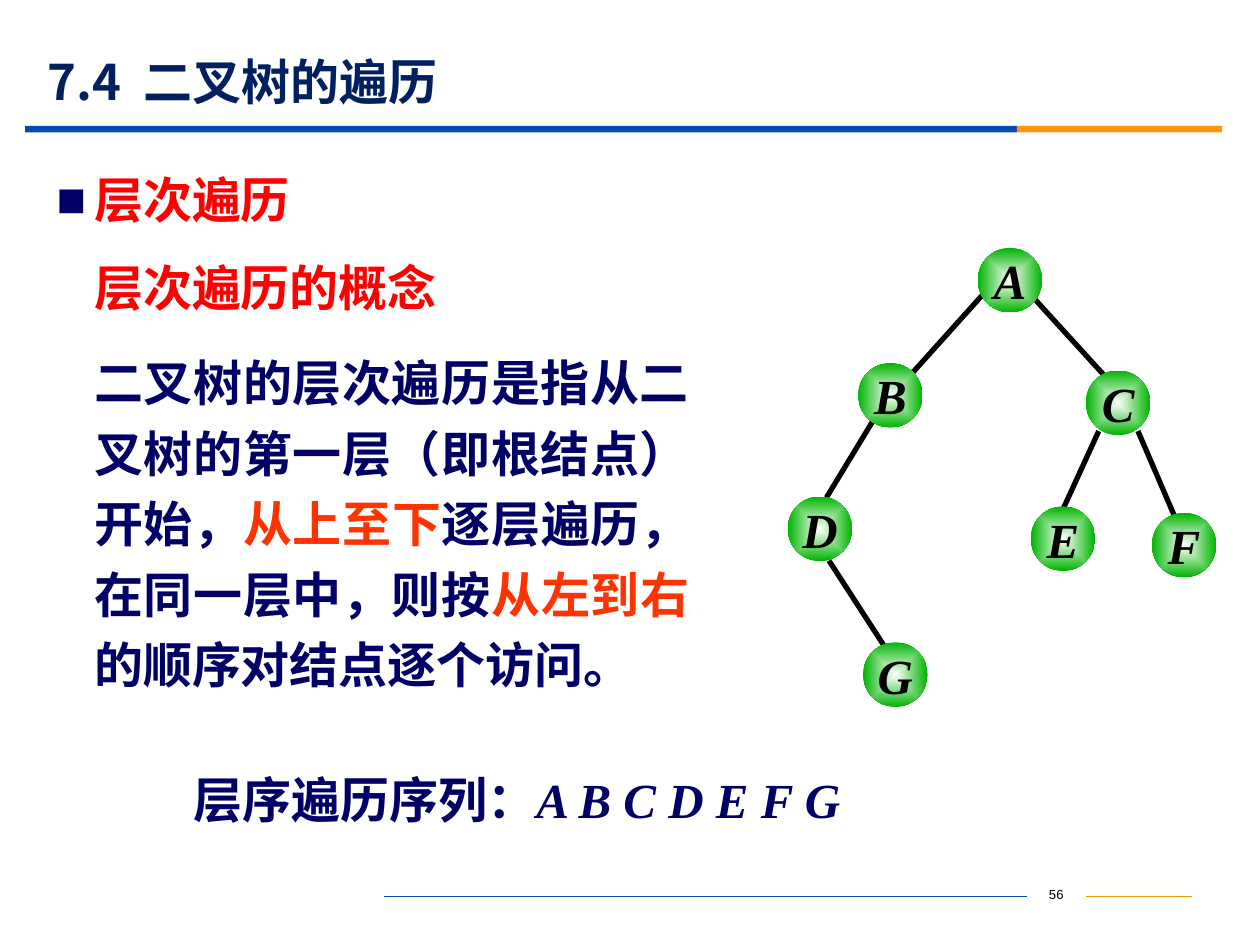
from lxml import etree
from pptx import Presentation
from pptx.dml.color import RGBColor
from pptx.enum.shapes import MSO_CONNECTOR, MSO_SHAPE
from pptx.enum.text import MSO_ANCHOR, PP_ALIGN
from pptx.oxml.ns import qn
from pptx.util import Cm, Pt

STRAIGHT = MSO_CONNECTOR.STRAIGHT
RECTANGLE, OVAL = MSO_SHAPE.RECTANGLE, MSO_SHAPE.OVAL
MIDDLE, TOP = MSO_ANCHOR.MIDDLE, MSO_ANCHOR.TOP
LEFT, CENTER, JUSTIFY = PP_ALIGN.LEFT, PP_ALIGN.CENTER, PP_ALIGN.JUSTIFY
SERIF, CJK, SANS = "Times New Roman", "Noto Sans CJK SC", "Arial"
COLORS = {
    "blue": "064BB2", "orange": "FB9708", "footer orange": "F19500",
    "title": "002060", "navy": "000066", "red": "FF0000",
    "highlight": "FF3300", "black": "000000", "white": "FFFFFF",
    "green": "00B400",
}
COLORS = {name: RGBColor.from_string(value) for name, value in COLORS.items()}


def add_run(paragraph, text, color, size=28, font=SERIF, bold=True, italic=False):
    run = paragraph.add_run()
    run.text = text
    run.font.size = Pt(size)
    run.font.bold = bold
    run.font.italic = italic
    run.font.name = font
    run.font.color.rgb = COLORS[color]
    etree.SubElement(run.font._element, qn("a:ea"), typeface=CJK)


def add_text(left, top, width, height, align=LEFT, anchor=TOP):
    box = slide.shapes.add_textbox(Cm(left), Cm(top), Cm(width), Cm(height))
    frame = box.text_frame
    frame.word_wrap = True
    frame.vertical_anchor = anchor
    frame.paragraphs[0].alignment = align
    return frame


prs = Presentation()
prs.slide_width, prs.slide_height = Cm(25.4), Cm(19.05)
slide = prs.slides.add_slide(prs.slide_layouts[6])

for left, width, color in [(0.51, 19.99, "blue"), (20.5, 4.14, "orange")]:
    bar = slide.shapes.add_shape(RECTANGLE, Cm(left), Cm(2.54), Cm(width), Cm(0.13))
    bar.shadow.inherit = False
    bar.fill.solid()
    bar.fill.fore_color.rgb = COLORS[color]
    bar.line.fill.background()

page_number = add_text(20.7, 17.75, 1.19, 0.64, CENTER)
add_run(page_number.paragraphs[0], "56", "black", 7.5, SANS, bold=False)

title = add_text(0.71, 1.09, 22.86, 1.09, anchor=MIDDLE)
add_run(title.paragraphs[0], "7.4  二叉树的遍历", "title", font=CJK)

heading = add_text(0.89, 3.3, 22.86, 1.55).paragraphs[0]
properties = heading._p.get_or_add_pPr()
properties.set("marL", str(Cm(0.76)))
properties.set("indent", str(-Cm(0.76)))
bullet_color = etree.SubElement(properties, qn("a:buClr"))
etree.SubElement(bullet_color, qn("a:srgbClr"), val=str(COLORS["navy"]))
etree.SubElement(properties, qn("a:buFont"), typeface=SANS)
etree.SubElement(properties, qn("a:buChar"), char="■")
add_run(heading, "层次遍历", "red")

concept = add_text(1.65, 4.83, 12.5, 9.4, JUSTIFY)
concept.paragraphs[0].line_spacing = 1.2
add_run(concept.paragraphs[0], "层次遍历的概念", "red")
definition = concept.add_paragraph()
definition.alignment = JUSTIFY
definition.line_spacing = 1.2
definition.space_before = Pt(14)
for text, color in [
    ("二叉树的层次遍历是指从二叉树的第一层（即根结点）开始，", "navy"),
    ("从上至下", "highlight"),
    ("逐层遍历，在同一层中，则按", "navy"),
    ("从左到右", "highlight"),
    ("的顺序对结点逐个访问。", "navy"),
]:
    add_run(definition, text, color)

sequence = add_text(3.66, 15.39, 14.22, 1.45, JUSTIFY).paragraphs[0]
add_run(sequence, "层序遍历序列：", "navy")
add_run(sequence, "A B C D E F G", "navy", italic=True)

footer_lines = [
    (21.89, 18.08, 24.03, 18.08, "footer orange", 0.75),
    (7.75, 18.08, 20.7, 18.08, "blue", 0.75),
]
edges = [
    (19.81, 5.94, 18.39, 7.52),
    (20.85, 6.02, 22.28, 7.59),
    (17.6, 8.48, 16.66, 10.03),
    (16.71, 11.3, 17.81, 13),
    (22.15, 8.69, 21.44, 10.24),
    (22.94, 8.69, 23.67, 10.39),
]
for x1, y1, x2, y2, color, weight in footer_lines + [(*edge, "black", 3) for edge in edges]:
    line = slide.shapes.add_connector(STRAIGHT, Cm(x1), Cm(y1), Cm(x2), Cm(y2))
    line.line.color.rgb = COLORS[color]
    line.line.width = Pt(weight)
    etree.SubElement(line._element.spPr, qn("a:effectLst"))

nodes = {
    "A": (19.71, 5), "B": (17.3, 7.32), "C": (21.89, 7.47), "D": (15.88, 10.01),
    "E": (20.78, 10.21), "F": (23.22, 10.34), "G": (17.4, 12.95),
}
for letter, (left, top) in nodes.items():
    node = slide.shapes.add_shape(OVAL, Cm(left), Cm(top), Cm(1.3), Cm(1.3))
    node.shadow.inherit = False
    node.line.fill.background()
    node.fill.gradient()
    for stop, color, position in zip(node.fill.gradient_stops, ("white", "green"), (0, 1)):
        stop.color.rgb = COLORS[color]
        stop.position = position
    gradient = node._element.spPr.find(qn("a:gradFill"))
    gradient.remove(gradient.find(qn("a:lin")))
    radial = etree.SubElement(gradient, qn("a:path"), path="shape")
    etree.SubElement(radial, qn("a:fillToRect"), l="50000", t="50000", r="50000", b="50000")
    label = node.text_frame
    label.margin_left = label.margin_right = label.margin_top = label.margin_bottom = 0
    label.word_wrap = False
    label.vertical_anchor = MIDDLE
    label.paragraphs[0].alignment = CENTER
    add_run(label.paragraphs[0], letter, "black", italic=True)

prs.save("out.pptx")
